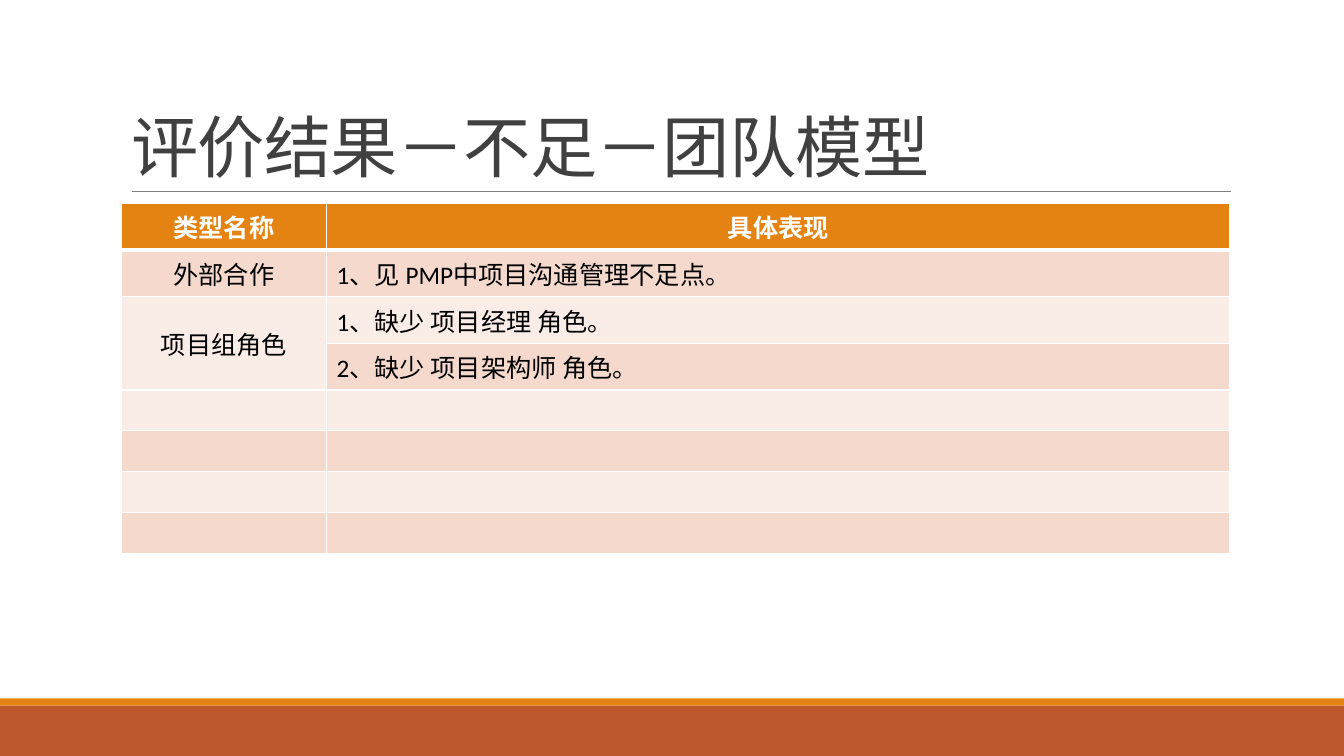
from lxml.etree import SubElement
from pptx import Presentation
from pptx.dml.color import RGBColor
from pptx.enum.shapes import MSO_CONNECTOR, MSO_SHAPE
from pptx.enum.text import MSO_ANCHOR, MSO_AUTO_SIZE, PP_ALIGN
from pptx.oxml import parse_xml
from pptx.oxml.ns import nsdecls, qn
from pptx.util import Inches, Pt

HEADINGS = ("类型名称", "具体表现")
FINDINGS = [
    ("外部合作", "1、见 PMP中项目沟通管理不足点。"),
    ("项目组角色", "1、缺少 项目经理 角色。"),
    ("", "2、缺少 项目架构师 角色。"),
]
EMPTY_ROWS = 4
COLUMN_WIDTHS = (2.04, 8.96)
ROW_HEIGHT = 0.405


def rgb(code):
    return RGBColor.from_string(code)


def write(frame, text, size=18, color="000000", bold=False,
          align=PP_ALIGN.LEFT, line_spacing=None, tracking=None):
    paragraph = frame.paragraphs[0]
    paragraph.alignment = align
    paragraph.line_spacing = line_spacing
    run = paragraph.add_run()
    run.text = text
    run.font.name = "Calibri"
    run.font.size = Pt(size)
    run.font.bold = bold
    run.font.color.rgb = rgb(color)
    if tracking is not None:
        run.font._element.set("spc", str(int(tracking * 100)))


def border_cell(cell, bottom=1):
    """Draw white borders, whose XML must come before the cell's fill."""
    properties = cell._tc.get_or_add_tcPr()
    widths = {"lnL": 1, "lnR": 1, "lnT": 1, "lnB": bottom}
    for position, (side, width) in enumerate(widths.items()):
        border = parse_xml(
            f'<a:{side} {nsdecls("a")} w="{Pt(width)}"><a:solidFill>'
            f'<a:srgbClr val="FFFFFF"/></a:solidFill></a:{side}>')
        properties.insert(position, border)


class ReviewSlide:
    accent = "E48312"
    footer = "BD582C"
    bands = ("F5D9CC", "FAEDE7")

    def __init__(self, presentation):
        self.slide = presentation.slides.add_slide(presentation.slide_layouts[5])

    def bar(self, top, height, color):
        bar = self.slide.shapes.add_shape(
            MSO_SHAPE.RECTANGLE, 0, Inches(top), Inches(13.33), Inches(height))
        bar.shadow.inherit = False
        bar.fill.solid()
        bar.fill.fore_color.rgb = rgb(color)
        bar.line.fill.background()

    def rule(self, left, right, y):
        rule = self.slide.shapes.add_connector(
            MSO_CONNECTOR.STRAIGHT, Inches(left), Inches(y), Inches(right), Inches(y))
        rule.line.color.rgb = rgb("808080")
        rule.line.width = Pt(0.5)
        SubElement(rule._element.spPr, qn("a:effectLst"))

    def title(self, text):
        title = self.slide.shapes.title
        title.left, title.top = Inches(1.2), Inches(0.31)
        title.width, title.height = Inches(11), Inches(1.59)
        frame = title.text_frame
        frame.word_wrap = True
        frame.auto_size = MSO_AUTO_SIZE.NONE
        frame.vertical_anchor = MSO_ANCHOR.BOTTOM
        write(frame, text, size=48, color="404040", line_spacing=0.85, tracking=-0.5)

    def table(self, left, top):
        rows = [HEADINGS, *FINDINGS] + [("", "")] * EMPTY_ROWS
        table = self.slide.shapes.add_table(
            len(rows), len(COLUMN_WIDTHS), Inches(left), Inches(top),
            Inches(sum(COLUMN_WIDTHS)), Inches(ROW_HEIGHT * len(rows))).table
        for column, width in zip(table.columns, COLUMN_WIDTHS):
            column.width = Inches(width)
        for row_index, texts in enumerate(rows):
            table.rows[row_index].height = Inches(ROW_HEIGHT)
            for column_index, text in enumerate(texts):
                self.cell(table.cell(row_index, column_index), text,
                          row_index, column_index)
        roles = table.cell(2, 0)
        roles.merge(table.cell(3, 0))
        roles.vertical_anchor = MSO_ANCHOR.MIDDLE

    def cell(self, cell, text, row_index, column_index):
        heading = row_index == 0
        cell.fill.solid()
        cell.fill.fore_color.rgb = rgb(
            self.accent if heading else self.bands[(row_index - 1) % 2])
        border_cell(cell, bottom=3 if heading else 1)
        if text:
            centred = heading or column_index == 0
            write(cell.text_frame, text, bold=heading,
                  color="FFFFFF" if heading else "000000",
                  align=PP_ALIGN.CENTER if centred else PP_ALIGN.LEFT)


def main():
    presentation = Presentation()
    presentation.slide_width = Inches(13.33)
    presentation.slide_height = Inches(7.5)
    review = ReviewSlide(presentation)
    review.bar(7, 0.5, review.footer)
    review.bar(6.93, 0.07, review.accent)
    review.rule(1.31, 12.21, 1.9)
    review.title("评价结果－不足－团队模型")
    review.table(1.2, 2.02)
    presentation.save("out.pptx")


if __name__ == "__main__":
    main()
